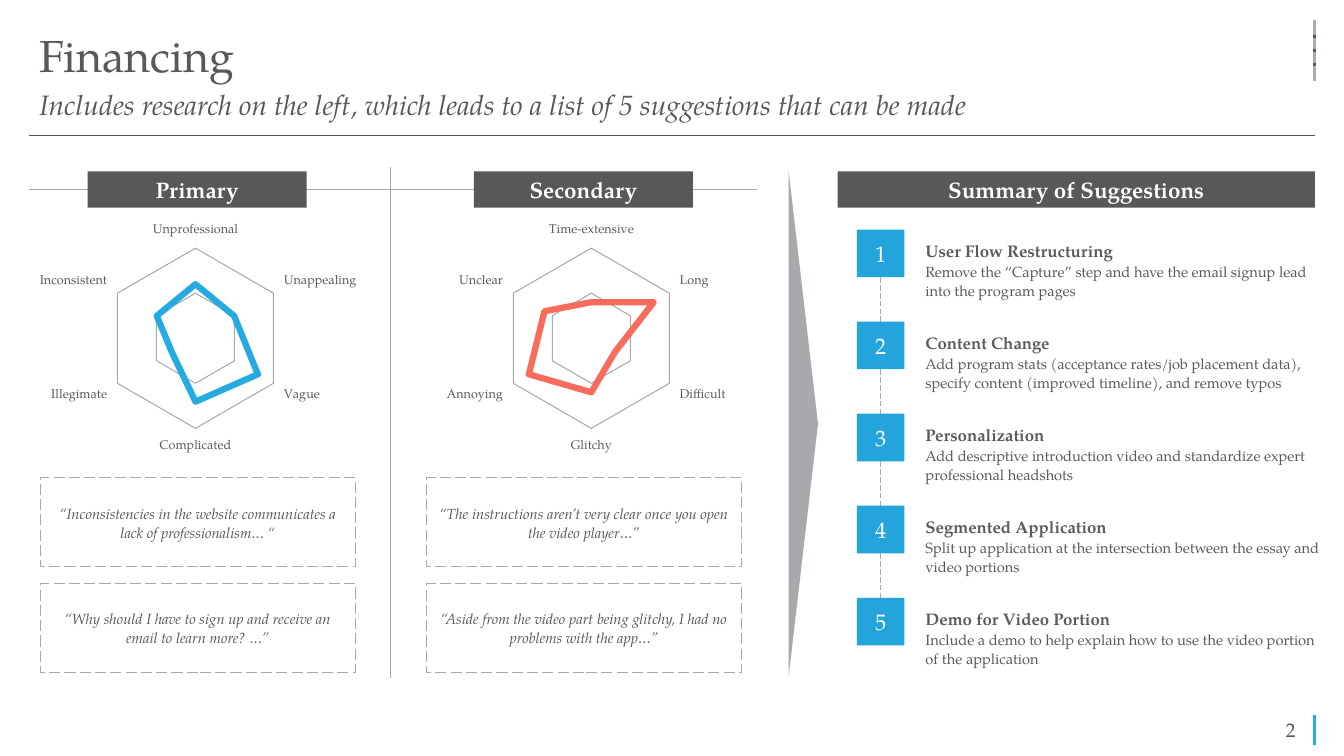
from lxml import etree
from pptx import Presentation
from pptx import util as u
from pptx.chart import data as chart_data
from pptx.dml.color import RGBColor
from pptx.enum import chart as charts, dml, shapes, text
from pptx.oxml import parse_xml
from pptx.oxml.ns import nsdecls, qn

COLORS = {
    "ink": "58575A", "label": "5B5A5D", "rule": "A7A9AD", "silver": "A8AAAD",
    "blue": "25AAE1", "step": "23A4DA", "coral": "F86C5E", "axis": "D9D9D9",
    "white": "FFFFFF",
}
CENTER, LEFT = text.PP_ALIGN.CENTER, text.PP_ALIGN.LEFT
MIDDLE, TOP = text.MSO_ANCHOR.MIDDLE, text.MSO_ANCHOR.TOP


def color(name):
    return RGBColor.from_string(COLORS[name])


class Page:
    """Holds the font and the slide being drawn; lengths are in points."""

    font = "TeX Gyre Pagella"

    def __init__(self, slide):
        self.shapes = slide.shapes

    def style(self, font, size, name, bold=False, italic=False):
        font.name, font.size = self.font, u.Pt(size)
        font.bold, font.italic = bold, italic
        font.color.rgb = color(name)

    def fill_text(self, shape, lines, align=CENTER, anchor=MIDDLE, spacing=1.0, after=0):
        """Each line is (wording, size, color, bold, italic)."""
        frame = shape.text_frame
        frame.word_wrap, frame.vertical_anchor = True, anchor
        frame.text = "\n".join(line[0] for line in lines)
        for para, line in zip(frame.paragraphs, lines):
            para.alignment, para.line_spacing = align, spacing
            para.space_after = u.Pt(after)
            for span in para.runs:
                self.style(span.font, *line[1:])

    def text(self, at, lines, **options):
        box = self.shapes.add_textbox(*map(u.Pt, at))
        self.fill_text(box, lines, **options)

    def shape(self, at, fill=None, border=None, kind="RECTANGLE"):
        box = self.shapes.add_shape(shapes.MSO_SHAPE[kind], *map(u.Pt, at))
        box.shadow.inherit = False
        if fill:
            box.fill.solid()
            box.fill.fore_color.rgb = color(fill)
        else:
            box.fill.background()
        if border:
            box.line.color.rgb = color(border)
            box.line.width = u.Pt(1)
            box.line.dash_style = dml.MSO_LINE.LONG_DASH
        else:
            box.line.fill.background()
        return box

    def banner(self, at, wording):
        self.fill_text(self.shape(at, "ink"), [(wording, 16, "white", True)])

    def line(self, x1, y1, x2, y2, name, width, dashed=False):
        line = self.shapes.add_connector(
            shapes.MSO_CONNECTOR.STRAIGHT, *map(u.Pt, (x1, y1, x2, y2)))
        line.line.color.rgb = color(name)
        line.line.width = u.Pt(width)
        if dashed:
            line.line.dash_style = dml.MSO_LINE.LONG_DASH
        etree.SubElement(line._element.spPr, qn("a:effectLst"))

    def radar(self, at, scores, name, plot_left):
        data = chart_data.CategoryChartData()
        data.categories = list(scores)
        data.add_series("Series 1", list(scores.values()))
        chart = self.shapes.add_chart(
            charts.XL_CHART_TYPE.RADAR, *map(u.Pt, at), data).chart
        chart.has_legend = chart.has_title = False
        self.style(chart.font, 10, "label")

        labels = chart.category_axis
        labels.has_major_gridlines = False
        labels.major_tick_mark = charts.XL_TICK_MARK.NONE
        labels.format.line.color.rgb = color("axis")
        self.style(labels.tick_labels.font, 9, "label")

        values = chart.value_axis
        values.minimum_scale, values.maximum_scale = 0, 125
        values.major_unit = 62.5
        values.has_major_gridlines = True
        values.major_gridlines.format.line.color.rgb = color("rule")
        values.major_gridlines.format.line.width = u.Pt(0.75)
        values.visible = False

        series = chart.plots[0].series[0]
        series.smooth = False
        series.marker.style = charts.XL_MARKER_STYLE.NONE
        series.format.line.color.rgb = color(name)
        series.format.line.width = u.Pt(4.5)

        # Fixed inner plot area
        area = chart._chartSpace.chart.plotArea
        for old in area.findall(qn("c:layout")):
            area.remove(old)
        sizes = {"x": plot_left, "y": 0.14, "w": 0.5, "h": 0.73}
        parts = "".join(f'<c:{key} val="{size}"/>' for key, size in sizes.items())
        area.insert(0, parse_xml(
            f'<c:layout {nsdecls("c")}><c:manualLayout><c:layoutTarget val="inner"/>'
            f'<c:xMode val="edge"/><c:yMode val="edge"/>{parts}'
            '</c:manualLayout></c:layout>'))


COLUMNS = [
    {"title": "Primary", "rule": (21, 287), "chart_left": 13, "plot_left": 0.24,
     "color": "blue",
     "scores": {"Unprofessional": 75, "Unappealing": 62, "Vague": 100,
                "Complicated": 88, "Illegimate": 38, "Inconsistent": 62},
     "quotes": ["“Inconsistencies in the website communicates a lack of "
                "professionalism… “",
                "“Why should I have to sign up and receive an email to learn "
                "more? …”"]},
    {"title": "Secondary", "rule": (275, 541), "chart_left": 288, "plot_left": 0.27,
     "color": "coral",
     "scores": {"Time-extensive": 50, "Long": 100, "Difficult": 38,
                "Glitchy": 75, "Annoying": 100, "Unclear": 75},
     "quotes": ["“The instructions aren’t very clear once you open the video "
                "player…”",
                "“Aside from the video part being glitchy, I had no problems "
                "with the app…”"]},
]
SUGGESTIONS = [
    ("User Flow Restructuring", "Remove the “Capture” step and have the email "
     "signup lead into the program pages"),
    ("Content Change", "Add program stats (acceptance rates/job placement data), "
     "specify content (improved timeline), and remove typos"),
    ("Personalization", "Add descriptive introduction video and standardize "
     "expert professional headshots"),
    ("Segmented Application", "Split up application at the intersection between "
     "the essay and video portions"),
    ("Demo for Video Portion", "Include a demo to help explain how to use the "
     "video portion of the application"),
]
COLUMN_STEP, QUOTE_STEP = 275.8, 75.6
STEP_LEFT, STEP_TOP, STEP_SIZE, STEP_PITCH = 612, 164, 34, 65.75


def main():
    deck = Presentation()
    deck.slide_width, deck.slide_height = u.Pt(960), u.Pt(540)
    page = Page(deck.slides.add_slide(deck.slide_layouts[6]))

    # Frame: page number, rule and corner mark
    page.text((892, 509, 60, 24.5), [("2", 14, "ink")])
    page.line(939, 511, 939, 532, "blue", 2.25)
    page.line(21, 97, 939, 97, "ink", 1)
    page.line(939, 14.4, 939, 57.6, "silver", 2.25)
    for tick in range(3):
        y = 26 + 10 * tick
        page.line(938, y, 940, y, "ink", 2.25)

    # Heading
    page.text((21, 16.6, 721, 49), [("Financing", 32, "ink")],
              align=LEFT, spacing=0.9)
    page.text((21, 62, 830, 34.5),
              [("Includes research on the left, which leads to a list of 5 "
                "suggestions that can be made", 20, "ink", False, True)],
              align=LEFT, anchor=TOP, spacing=0.9)

    # Suggestions
    page.banner((598.3, 122.4, 341, 26), "Summary of Suggestions")
    for i, (title, detail) in enumerate(SUGGESTIONS):
        top = STEP_TOP + i * STEP_PITCH
        step = page.shape((STEP_LEFT, top, STEP_SIZE, STEP_SIZE), "step")
        page.fill_text(step, [(str(i + 1), 16, "white")])
        if i < len(SUGGESTIONS) - 1:
            x = STEP_LEFT + STEP_SIZE / 2
            page.line(x, top + STEP_SIZE, x, top + STEP_PITCH, "silver", 0.5, True)
        page.text((654, top + 3.5, 296, 52.5),
                  [(title, 12, "label", True), (detail, 10.5, "label")],
                  align=LEFT, anchor=TOP, spacing=1.08)

    # Arrow from research to suggestions
    arrow = page.shape((393.1, 292.3, 361.4, 21), "rule", kind="ISOSCELES_TRIANGLE")
    arrow.rotation = 90

    # Research columns
    page.line(278.6, 119.5, 278.6, 484, "rule", 0.5)
    for i, column in enumerate(COLUMNS):
        shift = i * COLUMN_STEP
        start, end = column["rule"]
        page.line(start, 135.4, end, 135.4, "rule", 0.5)
        page.banner((62.6 + shift, 122.4, 156.5, 26), column["title"])
        page.radar((column["chart_left"], 152.6, 258.5, 176.4), column["scores"],
                   column["color"], column["plot_left"])
        for row, quote in enumerate(column["quotes"]):
            card = page.shape((28.8 + shift, 341.2 + row * QUOTE_STEP, 225, 63.5),
                              border="rule")
            page.fill_text(card, [(quote, 10.5, "ink", False, True)],
                           spacing=1.07, after=8)

    deck.save("out.pptx")


if __name__ == "__main__":
    main()
